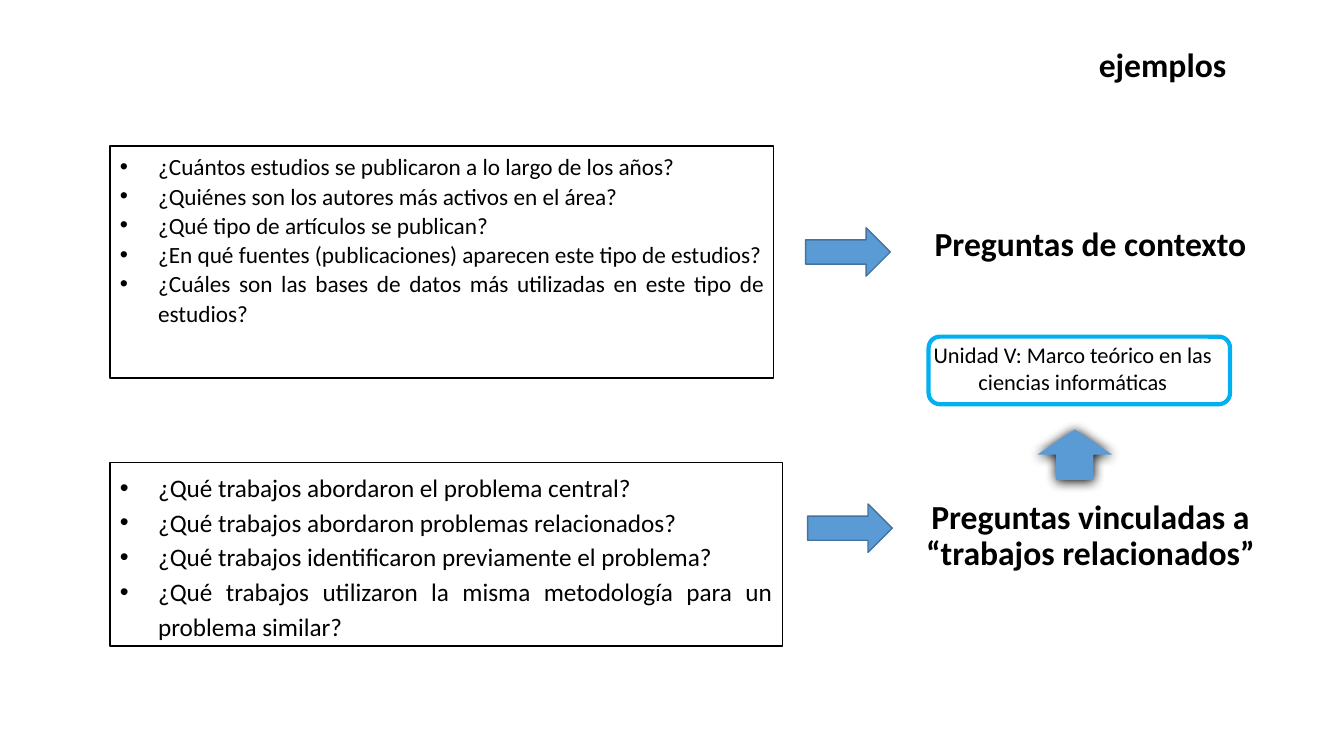
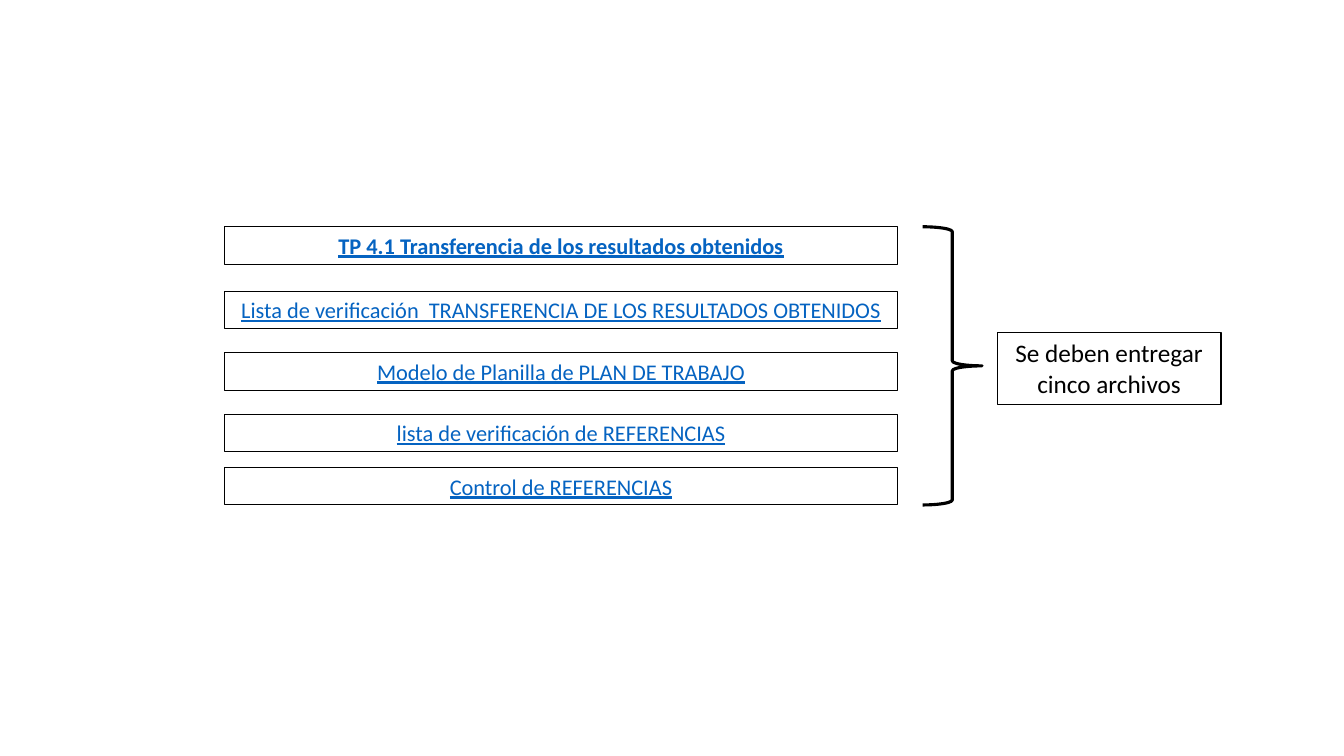
"""Builds two slides: example research questions and the files to hand in."""
from lxml import etree
from pptx import Presentation
from pptx import util as u
from pptx.dml.color import RGBColor
from pptx.enum import shapes, text
from pptx.oxml import parse_xml
from pptx.oxml.ns import nsdecls, qn

THEME = {
    "font": "Calibri",
    "black": "000000", "arrow": "5B9BD5", "arrow_edge": "43739E",
    "unit": "00B0F0", "link": "0563C1",
    "heading": 24, "large": 18, "context": 16.6, "normal": 16,
}
KIND = shapes.MSO_SHAPE
ALIGN = text.PP_ALIGN
TOP, MIDDLE = text.MSO_ANCHOR.TOP, text.MSO_ANCHOR.MIDDLE
BULLET_INDENT = 0.38

HEADINGS = [
    ("ejemplos", (10.52, 0.28, 2.02, 0.76)),
    ("Preguntas de contexto", (9.09, 1.71, 3.45, 1.45)),
    ("Preguntas vinculadas a “trabajos relacionados”", (8.97, 4.6, 3.69, 1.45)),
]
QUESTION_BOXES = [
    {
        "box": (1.09, 1.45, 6.58, 2.3), "size": "context", "spacing": 1.05,
        "arrow": (7.99, 2.26),
        "questions": [
            "¿Cuántos estudios se publicaron a lo largo de los años?",
            "¿Quiénes son los autores más activos en el área?",
            "¿Qué tipo de artículos se publican?",
            "¿En qué fuentes (publicaciones) aparecen este tipo de estudios?",
            "¿Cuáles son las bases de datos más utilizadas en este tipo de estudios?",
        ],
    },
    {
        "box": (1.09, 4.59, 6.67, 1.82), "size": "large", "spacing": 1.15,
        "arrow": (8.01, 5),
        "questions": [
            "¿Qué trabajos abordaron el problema central?",
            "¿Qué trabajos abordaron problemas relacionados?",
            "¿Qué trabajos identificaron previamente el problema?",
            "¿Qué trabajos utilizaron la misma metodología para un problema similar?",
        ],
    },
]
UNIT = "Unidad V: Marco teórico en las ciencias informáticas"

FILES = [
    ("TP 4.1 Transferencia de los resultados obtenidos", 2.25),
    ("Lista de verificación  TRANSFERENCIA DE LOS RESULTADOS OBTENIDOS", 2.89),
    ("Modelo de Planilla de PLAN DE TRABAJO", 3.5),
    ("lista de verificación de REFERENCIAS", 4.11),
    ("Control de REFERENCIAS", 4.64),
]
FILE_LEFT, FILE_WIDTH, FILE_HEIGHT = 2.23, 6.67, 0.37
DELIVERY = ["Se deben entregar", "cinco archivos"]


def color(name):
    return RGBColor.from_string(THEME[name])


def add_outline(slide, kind, box, fill=None, line="black", width=1):
    shape = slide.shapes.add_shape(kind, *map(u.Inches, box))
    shape.shadow.inherit = False
    if fill:
        shape.fill.solid()
        shape.fill.fore_color.rgb = color(fill)
    else:
        shape.fill.background()
    if line:
        shape.line.color.rgb = color(line)
        shape.line.width = u.Pt(width)
    else:
        shape.line.fill.background()
    return shape


def add_bullet(paragraph):
    props = paragraph._p.get_or_add_pPr()
    props.set("marL", str(u.Inches(BULLET_INDENT)))
    props.set("indent", str(-u.Inches(BULLET_INDENT)))
    etree.SubElement(props, qn("a:buFont")).set("typeface", "Arial")
    etree.SubElement(props, qn("a:buChar")).set("char", "•")


def write(shape, lines, size, ink="black", bold=False, underline=False,
          align=ALIGN.CENTER, spacing=1.0, anchor=TOP, bullets=False):
    frame = shape.text_frame
    frame.word_wrap = True
    frame.vertical_anchor = anchor
    frame.text = "\n".join(lines)
    for paragraph in frame.paragraphs:
        if bullets:
            add_bullet(paragraph)
        paragraph.alignment = align
        paragraph.line_spacing = spacing
        for run in paragraph.runs:
            run.font.name = THEME["font"]
            run.font.size = u.Pt(THEME[size])
            run.font.color.rgb = color(ink)
            run.font.bold = bold
            run.font.underline = underline


def add_label(slide, label, box, size, **style):
    write(slide.shapes.add_textbox(*map(u.Inches, box)), [label], size, **style)


def add_soft_shadow(shape):
    props = shape._element.spPr
    props.remove(props.find(qn("a:effectLst")))
    props.append(parse_xml(
        f'<a:effectLst {nsdecls("a")}>'
        f'<a:outerShdw blurRad="{u.Pt(8.5)}" dist="{u.Pt(1)}" dir="5400000" '
        f'algn="ctr" rotWithShape="0"><a:srgbClr val="{THEME["black"]}"/>'
        '</a:outerShdw></a:effectLst>'))


def build_examples(slide):
    for heading, box in HEADINGS:
        add_label(slide, heading, box, "heading", bold=True, spacing=0.9, anchor=MIDDLE)
    for group in QUESTION_BOXES:
        write(add_outline(slide, KIND.RECTANGLE, group["box"]), group["questions"],
              group["size"], align=ALIGN.JUSTIFY, spacing=group["spacing"], bullets=True)
        add_outline(slide, KIND.RIGHT_ARROW, (*group["arrow"], 0.84, 0.48),
                    fill="arrow", line="arrow_edge")
    add_label(slide, UNIT, (8.83, 3.34, 3.62, 0.64), "normal")
    add_outline(slide, KIND.ROUNDED_RECTANGLE, (9.21, 3.34, 2.99, 0.67),
                line="unit", width=3)
    add_soft_shadow(add_outline(slide, KIND.UP_ARROW, (10.29, 4.26, 0.74, 0.5),
                                fill="arrow", line=None))


def build_files(slide):
    for index, (name, top) in enumerate(FILES):
        row = add_outline(slide, KIND.RECTANGLE,
                          (FILE_LEFT, top, FILE_WIDTH, FILE_HEIGHT), width=0.75)
        write(row, [name], "normal", ink="link", bold=index == 0, underline=True)
    first, last = FILES[0][1], FILES[-1][1]
    add_outline(slide, KIND.RIGHT_BRACE,
                (9.15, first, 0.59, last + FILE_HEIGHT - first), width=2.25)
    delivery = add_outline(slide, KIND.RECTANGLE, (9.89, 3.3, 2.22, 0.71), width=0.75)
    write(delivery, DELIVERY, "large")


def main():
    deck = Presentation()
    deck.slide_width, deck.slide_height = u.Inches(13.33), u.Inches(7.5)
    for build in (build_examples, build_files):
        build(deck.slides.add_slide(deck.slide_layouts[6]))
    deck.save("out.pptx")


if __name__ == "__main__":
    main()
